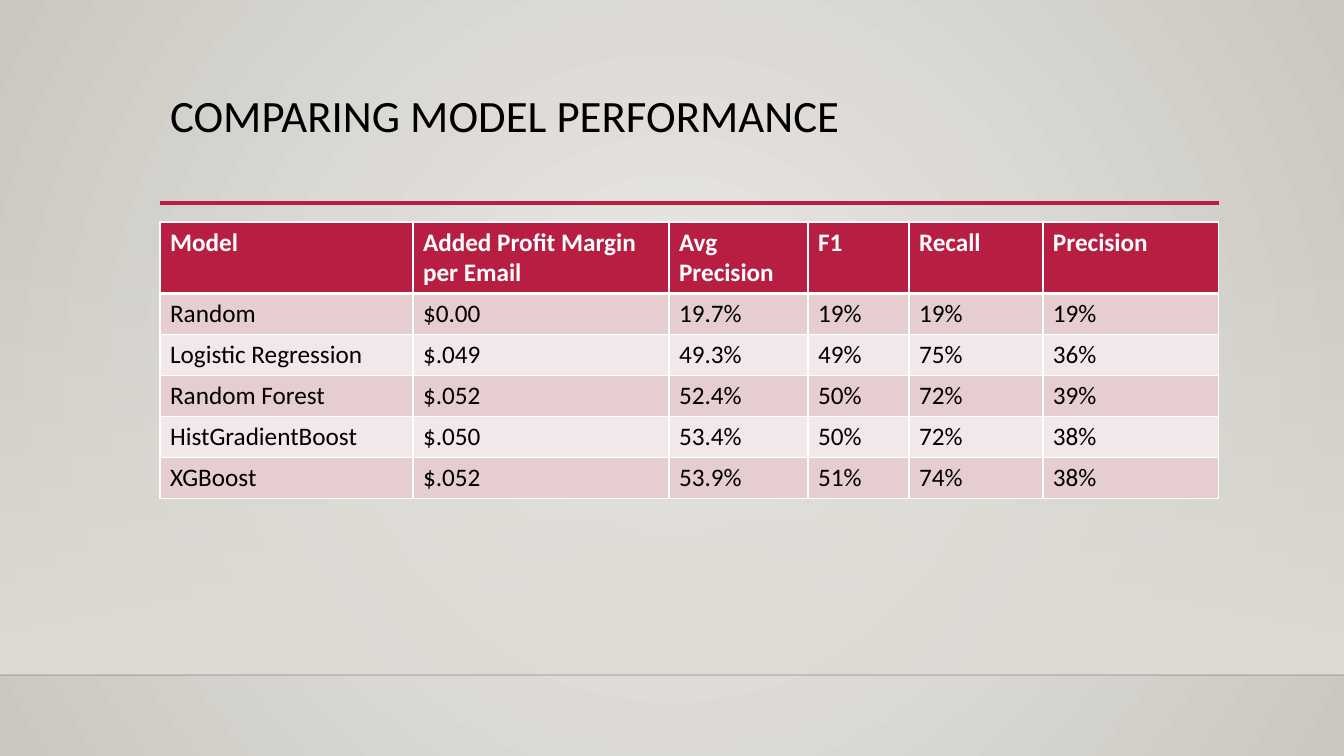
import pptx
import pptx.util
import pptx.dml.color
import pptx.enum.shapes
import pptx.enum.text
import pptx.oxml
import pptx.oxml.ns

NS = pptx.oxml.ns.nsdecls("a")
RED, WHITE, BLACK = "B71E42", "FFFFFF", "000000"
BANDS = ["E6CDCF", "F3E8E9"]
COLS = [253, 256, 139, 101, 134, 176]
ROWS = [
    ["Model", "Added Profit Margin per Email", "Avg Precision",
     "F1", "Recall", "Precision"],
    ["Random", "$0.00", "19.7%", "19%", "19%", "19%"],
    ["Logistic Regression", "$.049", "49.3%", "49%", "75%", "36%"],
    ["Random Forest", "$.052", "52.4%", "50%", "72%", "39%"],
    ["HistGradientBoost", "$.050", "53.4%", "50%", "72%", "38%"],
    ["XGBoost", "$.052", "53.9%", "51%", "74%", "38%"],
]


def px(n):
    return pptx.util.Emu(round(n * 914400 / 100.8))


def rgb(code):
    return pptx.dml.color.RGBColor.from_string(code)


def xml(text):
    return pptx.oxml.parse_xml(text)


def tint(code, alpha=100):
    return f'<a:srgbClr val="{code}"><a:alpha val="{alpha * 1000}"/></a:srgbClr>'


def fade(props, first, last, way):
    """Swap the solid fill in props for a gradient from first to last."""
    old = props.find(pptx.oxml.ns.qn("a:solidFill"))
    props.replace(old, xml(
        f'<a:gradFill {NS} rotWithShape="1"><a:gsLst><a:gs pos="0">{first}</a:gs>'
        f'<a:gs pos="100000">{last}</a:gs></a:gsLst>{way}</a:gradFill>'))


def write(frame, text, size=18, color=BLACK, bold=False, space=None):
    frame.text = text
    para = frame.paragraphs[0]
    para.alignment = pptx.enum.text.PP_ALIGN.LEFT
    para.line_spacing = space
    font = para.runs[0].font
    font.name, font.size, font.bold = "Calibri", pptx.util.Pt(size), bold
    font.color.rgb = rgb(color)


def rule(slide, left, right, y, color, width, alpha=100):
    line = slide.shapes.add_connector(
        pptx.enum.shapes.MSO_CONNECTOR.STRAIGHT, px(left), px(y), px(right), px(y))
    line.line.width = pptx.util.Pt(width)
    line.line.color.rgb = rgb(color)
    props = line.element.spPr
    fill = props.find(".//" + pptx.oxml.ns.qn("a:solidFill"))
    fill.getparent().replace(
        fill, xml(f"<a:solidFill {NS}>{tint(color, alpha)}</a:solidFill>"))
    props.append(xml(f"<a:effectLst {NS}/>"))


def scene(slide):
    """Paint the backdrop, the wall fade and the floor edge."""
    slide.background.fill.solid()
    fade(slide.element.xpath(".//p:bgPr")[0], tint("ECEAE7"), tint("CAC7C1"),
         '<a:path path="circle"><a:fillToRect l="50000" t="50000" '
         'r="50000" b="50000"/></a:path>')
    wall = slide.shapes.add_shape(
        pptx.enum.shapes.MSO_SHAPE.RECTANGLE, 0, px(223), px(1344), px(452))
    wall.shadow.inherit = False
    wall.line.fill.background()
    wall.fill.solid()
    fade(wall.element.spPr, tint("DFDBD5", 0), tint("DFDBD5"),
         '<a:lin ang="5400000" scaled="0"/>')
    rule(slide, 0, 1344, 675, "000001", 1, 20)


def title(slide, text):
    head = slide.shapes.title
    head.left, head.top, head.width, head.height = map(px, (160, 89, 1059, 116))
    frame = head.text_frame
    frame.vertical_anchor = pptx.enum.text.MSO_ANCHOR.TOP
    frame.word_wrap = True
    write(frame, text, size=32, space=0.9)


def edge(cell, base):
    """Draw white cell borders, with the given width at the bottom."""
    props = cell._tc.get_or_add_tcPr()
    for i, (side, width) in enumerate(zip("LRTB", (1, 1, 1, base))):
        props.insert(i, xml(
            f'<a:ln{side} {NS} w="{width * 12700}">'
            f"<a:solidFill>{tint(WHITE)}</a:solidFill></a:ln{side}>"))


def grid(slide, left, top, rows):
    tall = [71] + [41] * (len(rows) - 1)
    table = slide.shapes.add_table(
        len(rows), len(COLS), px(left), px(top), px(sum(COLS)), px(sum(tall))).table
    for col, width in zip(table.columns, COLS):
        col.width = px(width)
    for r, row in enumerate(rows):
        table.rows[r].height = px(tall[r])
        head = r == 0
        for c, text in enumerate(row):
            cell = table.cell(r, c)
            cell.fill.solid()
            cell.fill.fore_color.rgb = rgb(RED if head else BANDS[(r - 1) % 2])
            edge(cell, 3 if head else 1)
            if r == 1:
                top_line = cell._tc.tcPr.find(pptx.oxml.ns.qn("a:lnT"))
                top_line.set("w", str(3 * 12700))
            write(cell.text_frame, text, color=WHITE if head else BLACK, bold=head)


def main():
    deck = pptx.Presentation()
    deck.slide_width, deck.slide_height = px(1344), px(756)
    slide = deck.slides.add_slide(deck.slide_layouts[5])
    scene(slide)
    rule(slide, 160, 1219, 203, RED, 2.5)
    title(slide, "COMPARING MODEL PERFORMANCE")
    grid(slide, 160, 222, ROWS)
    deck.save("out.pptx")


if __name__ == "__main__":
    main()
